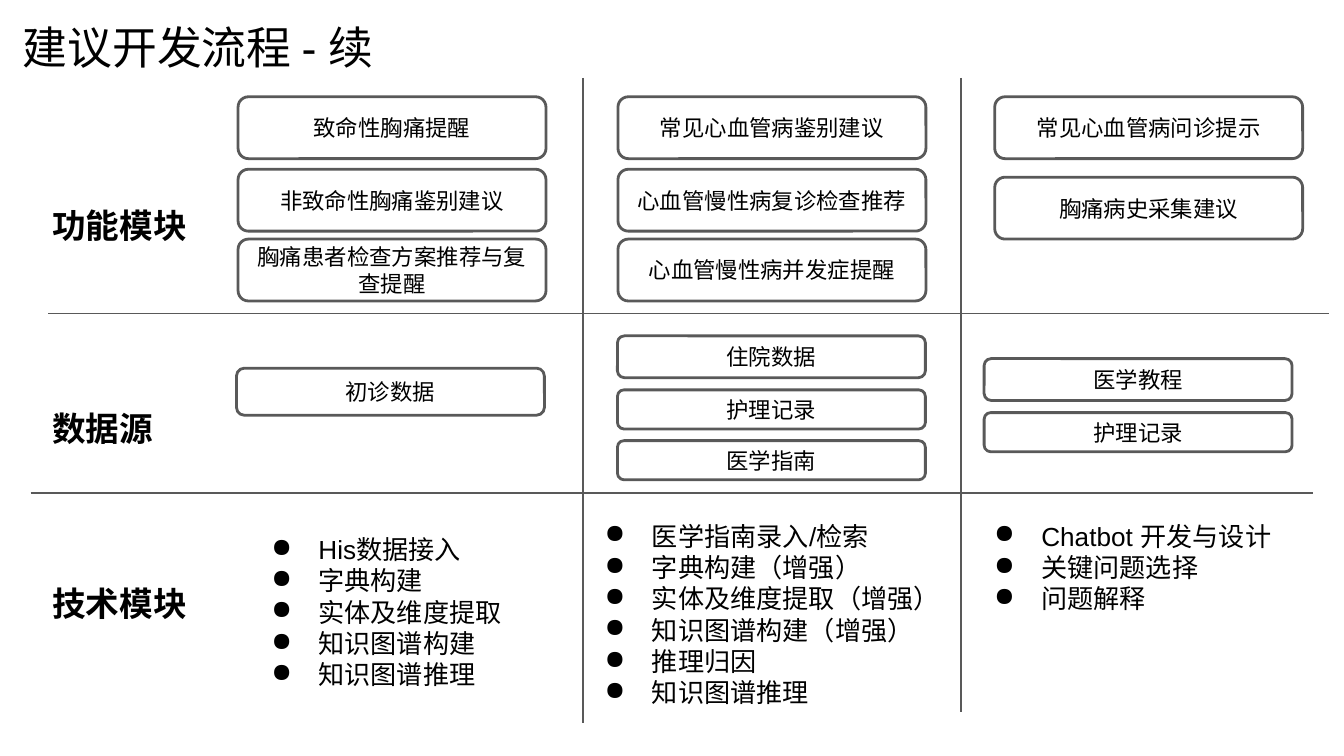
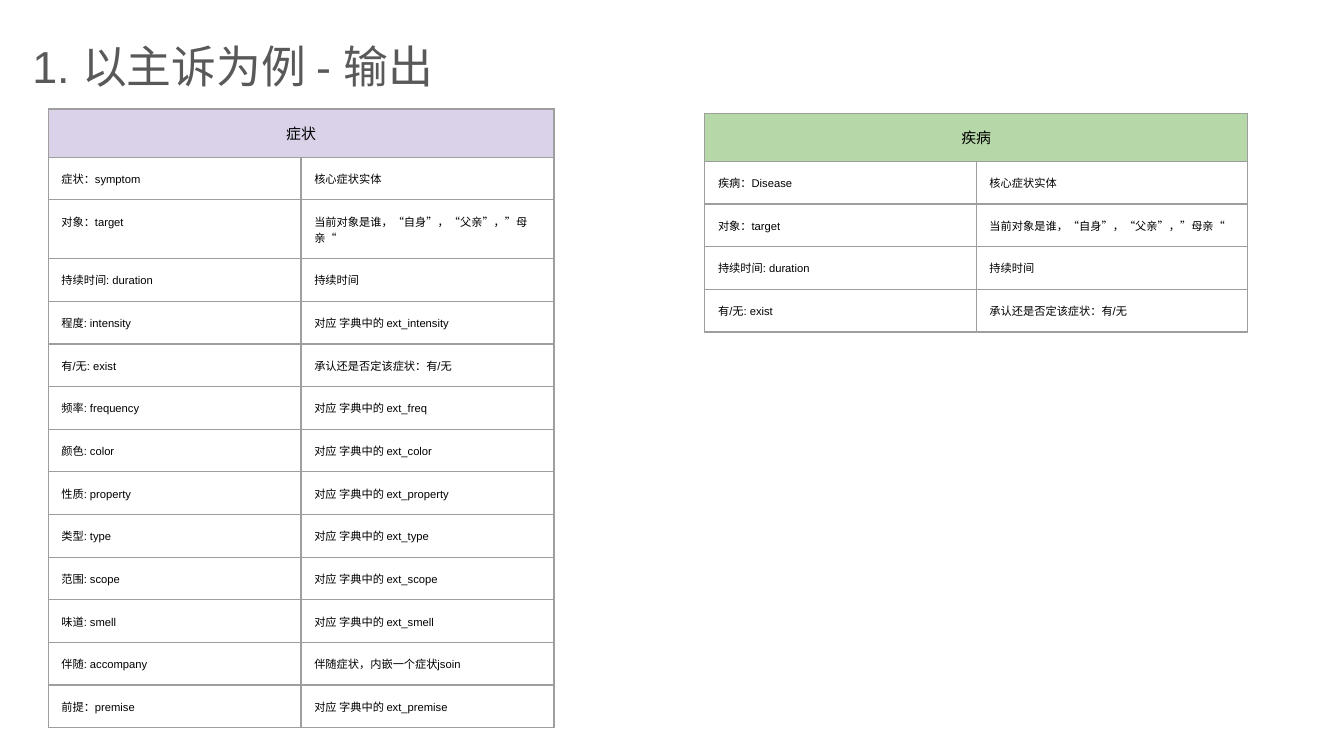
from dataclasses import dataclass

from lxml import etree
from pptx import Presentation
from pptx.dml.color import RGBColor
from pptx.enum.shapes import MSO_CONNECTOR, MSO_SHAPE
from pptx.enum.text import MSO_ANCHOR, MSO_AUTO_SIZE, PP_ALIGN
from pptx.oxml.ns import qn
from pptx.util import Cm, Pt

LEFT, CENTER = PP_ALIGN.LEFT, PP_ALIGN.CENTER
TOP, MIDDLE = MSO_ANCHOR.TOP, MSO_ANCHOR.MIDDLE
ROUNDED = MSO_SHAPE.ROUNDED_RECTANGLE
STRAIGHT = MSO_CONNECTOR.STRAIGHT
NO_FIT = MSO_AUTO_SIZE.NONE
TITLE_ONLY = 5


@dataclass(frozen=True)
class Theme:
    font: str = "Arial"
    ink: str = "000000"
    gray: str = "595959"
    paper: str = "FFFFFF"
    border: str = "9E9E9E"
    lilac: str = "D9D2E9"
    green: str = "B6D7A8"
    title: int = 24
    label: int = 18
    bullet: int = 14
    pill: int = 12
    header: int = 8
    cell: int = 6
    outline: float = 1.5
    rule: float = 0.75
    inset: float = 0.25


@dataclass(frozen=True)
class Box:
    left: float
    top: float
    width: float
    height: float

    def lengths(self):
        return Cm(self.left), Cm(self.top), Cm(self.width), Cm(self.height)


THEME = Theme()


def rgb(value):
    return RGBColor.from_string(value)


def add_bullet(para):
    props = para._p.get_or_add_pPr()
    props.set("marL", str(Cm(1.27)))
    props.set("indent", str(-Cm(0.89)))
    color = etree.SubElement(props, qn("a:buClr"))
    etree.SubElement(color, qn("a:srgbClr"), val=THEME.ink)
    etree.SubElement(props, qn("a:buChar"), char="●")


def write(frame, text, *, size, color=THEME.ink, bold=False, align=LEFT, bullet=False):
    for number, line in enumerate(text.split("\n")):
        para = frame.paragraphs[0] if number == 0 else frame.add_paragraph()
        if bullet:
            add_bullet(para)
        para.alignment = align
        span = para.add_run()
        span.text = line
        span.font.name = THEME.font
        span.font.size = Pt(size)
        span.font.bold = bold
        span.font.color.rgb = rgb(color)


def set_insets(holder):
    for side in ("left", "right", "top", "bottom"):
        setattr(holder, f"margin_{side}", Cm(THEME.inset))


def prepare_frame(frame, anchor=TOP):
    frame.word_wrap = True
    frame.auto_size = NO_FIT
    frame.vertical_anchor = anchor
    set_insets(frame)
    return frame


def add_title(page, box, text, color):
    title = page.shapes.title
    title.left, title.top, title.width, title.height = box.lengths()
    write(prepare_frame(title.text_frame), text, size=THEME.title, color=color)


def add_text(page, box, text, **style):
    shape = page.shapes.add_textbox(*box.lengths())
    write(prepare_frame(shape.text_frame), text, **style)


def add_pill(page, box, text):
    pill = page.shapes.add_shape(ROUNDED, *box.lengths())
    pill.shadow.inherit = False
    pill.fill.solid()
    pill.fill.fore_color.rgb = rgb(THEME.paper)
    pill.line.color.rgb = rgb(THEME.gray)
    pill.line.width = Pt(THEME.outline)
    write(prepare_frame(pill.text_frame, MIDDLE), text, size=THEME.pill, align=CENTER)


def add_pill_stack(page, box, pills):
    for text, offset, height in pills:
        add_pill(page, Box(box.left, box.top + offset, box.width, height), text)


def add_rule(page, left, top, right, bottom):
    rule = page.shapes.add_connector(STRAIGHT, Cm(left), Cm(top), Cm(right), Cm(bottom))
    rule.line.color.rgb = rgb(THEME.gray)
    rule.line.width = Pt(THEME.rule)
    etree.SubElement(rule._element.spPr, qn("a:effectLst"))


def add_row_labels(page, box, labels):
    for text, offset in labels:
        add_text(page, Box(box.left, box.top + offset, box.width, 1.17), text,
                 size=THEME.label, bold=True)


def add_cell_borders(cell):
    props = cell._tc.get_or_add_tcPr()
    for side in ("lnL", "lnR", "lnT", "lnB"):
        line = etree.SubElement(props, qn(f"a:{side}"), w=str(Pt(THEME.rule)))
        fill = etree.SubElement(line, qn("a:solidFill"))
        etree.SubElement(fill, qn("a:srgbClr"), val=THEME.border)


def add_field_table(page, box, heading, color, fields, header_height, row_height):
    table = page.shapes.add_table(len(fields) + 1, 2, *box.lengths()).table
    table.first_row = False
    table.horz_banding = False
    for column in table.columns:
        column.width = Cm(box.width / 2)
    for number, row in enumerate(table.rows):
        row.height = Cm(row_height if number else header_height)
        for cell in row.cells:
            set_insets(cell)
            add_cell_borders(cell)
            if number:
                cell.fill.background()
            else:
                cell.fill.solid()
                cell.fill.fore_color.rgb = rgb(color)
    table.cell(0, 0).merge(table.cell(0, 1))
    write(table.cell(0, 0).text_frame, heading, size=THEME.header, align=CENTER)
    for number, field in enumerate(fields, start=1):
        for column, text in enumerate(field):
            write(table.cell(number, column).text_frame, text, size=THEME.cell)


def build_process(deck):
    page = deck.slides.add_slide(deck.slide_layouts[TITLE_ONLY])
    add_title(page, Box(0.18, 0.13, 10.6, 1.4), "建议开发流程 - 续", THEME.ink)

    for rule in (
        (11.02, 1.47, 11.02, 13.67),
        (18.16, 1.47, 18.16, 13.46),
        (0.91, 5.92, 25.12, 5.92),
        (0.58, 9.32, 24.82, 9.32),
    ):
        add_rule(page, *rule)

    add_row_labels(page, Box(0.74, 3.63, 3.1, 8.31),
                   (("功能模块", 0), ("数据源", 3.84), ("技术模块", 7.14)))

    full, slim, thin = 1.17, 0.79, 0.74
    stacks = (
        (Box(4.5, 1.83, 5.82, 3.86), (
            ("致命性胸痛提醒", 0, full),
            ("非致命性胸痛鉴别建议", 1.37, full),
            ("胸痛患者检查方案推荐与复查提醒", 2.69, full))),
        (Box(11.68, 1.83, 5.82, 3.86), (
            ("常见心血管病鉴别建议", 0, full),
            ("心血管慢性病复诊检查推荐", 1.37, full),
            ("心血管慢性病并发症提醒", 2.69, full))),
        (Box(18.8, 1.83, 5.82, 2.69), (
            ("常见心血管病问诊提示", 0, full),
            ("胸痛病史采集建议", 1.52, full))),
        (Box(4.47, 6.96, 5.82, 0.89), (
            ("初诊数据", 0, 0.89),)),
        (Box(11.67, 6.35, 5.82, 2.72), (
            ("住院数据", 0, slim),
            ("护理记录", 1.02, thin),
            ("医学指南", 1.98, thin))),
        (Box(18.6, 6.78, 5.82, 1.76), (
            ("医学教程", 0, slim),
            ("护理记录", 1.02, thin))),
    )
    for box, pills in stacks:
        add_pill_stack(page, box, pills)

    for box, text in (
        (Box(4.5, 9.83, 5.82, 2.34),
         "His数据接入\n字典构建\n实体及维度提取\n知识图谱构建\n知识图谱推理"),
        (Box(10.8, 9.58, 7.57, 2.34),
         "医学指南录入/检索\n字典构建（增强）\n实体及维度提取（增强）\n"
         "知识图谱构建（增强）\n推理归因\n知识图谱推理"),
        (Box(18.16, 9.58, 6.32, 2.34),
         "Chatbot 开发与设计\n关键问题选择\n问题解释"),
    ):
        add_text(page, box, text, size=THEME.bullet, bullet=True)


def build_output(deck):
    page = deck.slides.add_slide(deck.slide_layouts[TITLE_ONLY])
    add_title(page, Box(0.36, 0.48, 18.85, 1.57), "1. 以主诉为例 - 输出", THEME.gray)

    target = ("对象：target", "当前对象是谁，“自身”，“父亲”，”母亲“")
    duration = ("持续时间: duration", "持续时间")
    exist = ("有/无: exist", "承认还是否定该症状：有/无")
    lookups = [(label, f"对应 字典中的 {key}") for label, key in (
        ("频率: frequency", "ext_freq"),
        ("颜色: color", "ext_color"),
        ("性质: property", "ext_property"),
        ("类型: type", "ext_type"),
        ("范围: scope", "ext_scope"),
        ("味道: smell", "ext_smell"),
    )]
    symptom = [
        ("症状：symptom", "核心症状实体"),
        target,
        duration,
        ("程度: intensity", "对应 字典中的 ext_intensity"),
        exist,
        *lookups,
        ("伴随: accompany", "伴随症状，内嵌一个症状jsoin"),
        ("前提：premise", "对应 字典中的 ext_premise"),
    ]
    disease = [("疾病：Disease", "核心症状实体"), target, duration, exist]
    add_field_table(page, Box(0.91, 2.06, 9.56, 11.13), "症状", THEME.lilac, symptom,
                    header_height=0.86, row_height=0.79)
    add_field_table(page, Box(13.32, 2.14, 10.26, 3.5), "疾病", THEME.green, disease,
                    header_height=0.74, row_height=0.69)


def main():
    deck = Presentation()
    deck.slide_width, deck.slide_height = Cm(25.4), Cm(14.29)
    build_process(deck)
    build_output(deck)
    deck.save("out.pptx")


if __name__ == "__main__":
    main()
